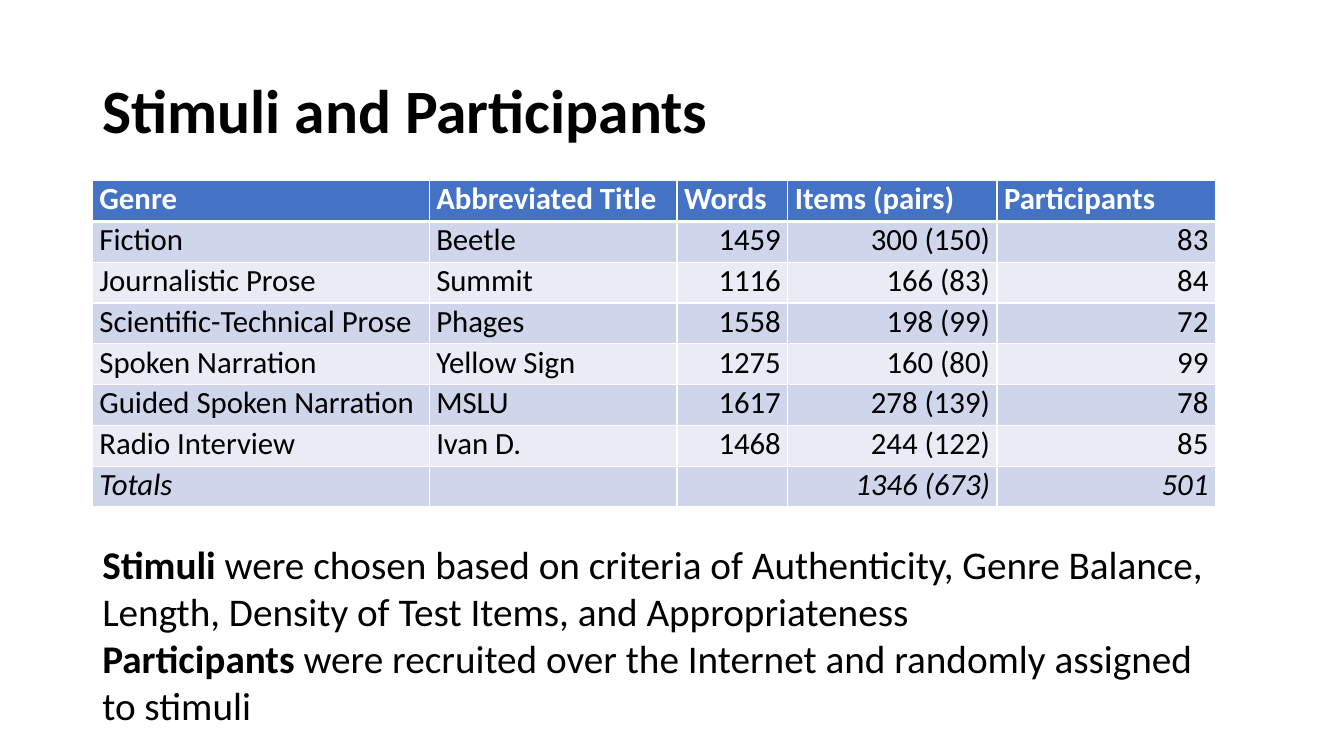
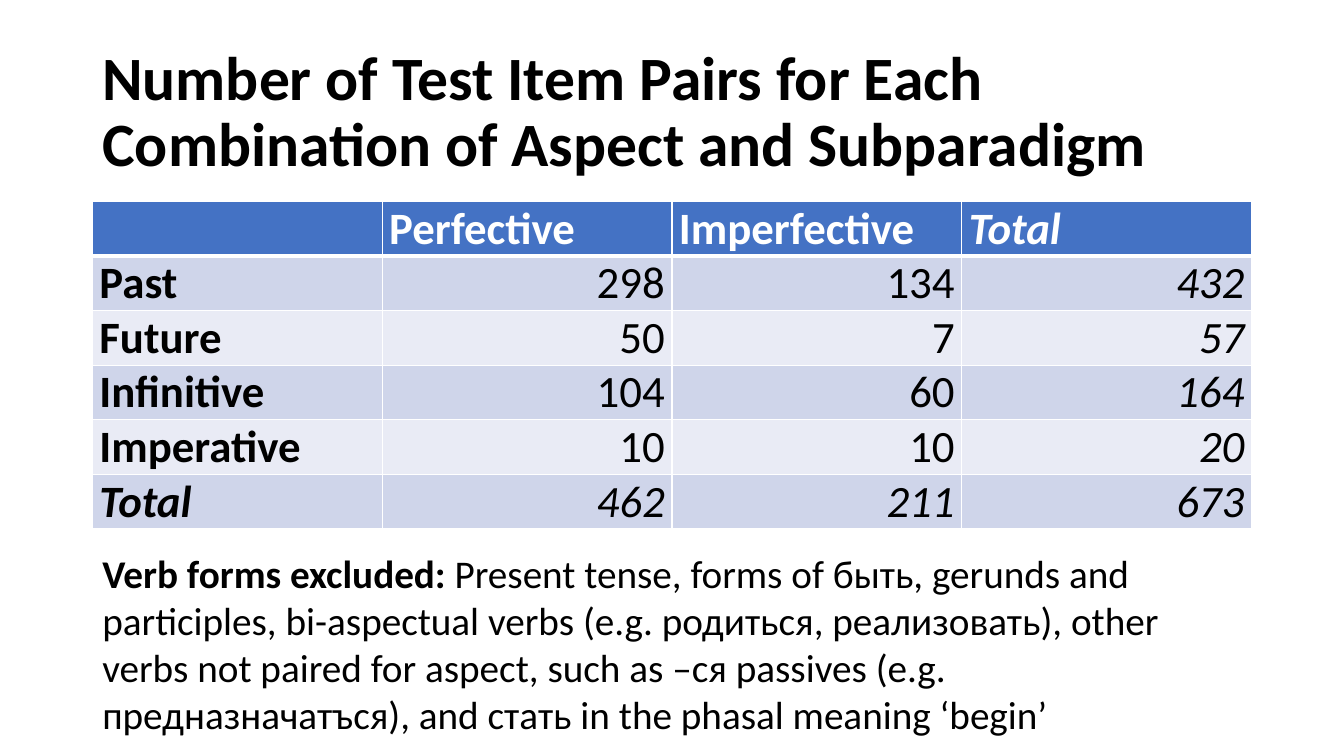
from dataclasses import dataclass

from lxml.etree import SubElement
from pptx import Presentation
from pptx.dml.color import RGBColor as Rgb
from pptx.enum.text import MSO_ANCHOR as Anchor, MSO_AUTO_SIZE as AutoSize, PP_ALIGN as Align
from pptx.oxml.ns import qn
from pptx.util import Inches, Pt


@dataclass(frozen=True)
class Theme:
    font: str = "Calibri"
    ink: str = "000000"
    paper: str = "FFFFFF"
    header: str = "4472C4"
    bands: tuple = ("CFD5EA", "E9EBF5")
    title_size: int = 44
    body_size: int = 28
    rule: int = 1
    header_rule: int = 3


class Deck:
    """Holds the theme and the current slide; lengths are grid units."""

    COLUMNS, ROWS = 160, 90
    LEFT, FULL = 11, 138

    def __init__(self, theme):
        self.theme = theme
        self.show = Presentation()
        self.show.slide_width, self.show.slide_height = Inches(13.33), Inches(7.5)
        self.slide = None

    def x(self, columns):
        return round(self.show.slide_width * columns / self.COLUMNS)

    def y(self, rows):
        return round(self.show.slide_height * rows / self.ROWS)

    def box(self, top, width, height):
        return self.x(self.LEFT), self.y(top), self.x(width), self.y(height)

    def run(self, paragraph, text, size, color, bold=False, italic=False):
        run = paragraph.add_run()
        run.text = text
        font = run.font
        font.name, font.size = self.theme.font, Pt(size)
        font.bold, font.italic = bold, italic
        font.color.rgb = Rgb.from_string(color)

    def frame(self, top, width, height):
        frame = self.slide.shapes.add_textbox(*self.box(top, width, height)).text_frame
        frame.word_wrap = True
        return frame

    # Slide with its shared title
    def page(self, title):
        self.slide = self.show.slides.add_slide(self.show.slide_layouts[6])
        frame = self.frame(4.8, self.FULL, 17.4)
        frame.vertical_anchor = Anchor.MIDDLE
        line = frame.paragraphs[0]
        line.line_spacing = 0.9
        self.run(line, title, self.theme.title_size, self.theme.ink, bold=True)

    # Paragraphs that open with a bold term
    def notes(self, top, width, entries):
        frame = self.frame(top, width, 23.9)
        frame.auto_size = AutoSize.SHAPE_TO_FIT_TEXT
        for index, (term, detail) in enumerate(entries):
            line = frame.add_paragraph() if index else frame.paragraphs[0]
            self.run(line, term, self.theme.body_size, self.theme.ink, bold=True)
            self.run(line, detail, self.theme.body_size, self.theme.ink)

    # Banded table: label columns at left, figures right-aligned, totals in italics
    def table(self, top, widths, row_height, size, rows, labels,
              bold_labels=False, total_column=None):
        theme = self.theme
        grid = self.slide.shapes.add_table(
            len(rows), len(widths),
            *self.box(top, sum(widths), row_height * len(rows))).table
        for column, width in zip(grid.columns, widths):
            column.width = self.x(width)
        for r, row in enumerate(rows):
            grid.rows[r].height = self.y(row_height)
            for c, text in enumerate(row):
                cell = grid.cell(r, c)
                self.dress(cell, r)
                if not text:
                    continue
                line = cell.text_frame.paragraphs[0]
                if r and c >= labels:
                    line.alignment = Align.RIGHT
                self.run(line, text, size, theme.ink if r else theme.paper,
                         bold=r == 0 or (bold_labels and c < labels),
                         italic=r == len(rows) - 1 or c == total_column)

    # Fill, margins and white rules of one cell
    def dress(self, cell, r):
        theme = self.theme
        cell.margin_left = cell.margin_right = Inches(0.07)
        cell.margin_top = cell.margin_bottom = 0
        properties = cell._tc.get_or_add_tcPr()
        for side in ("lnL", "lnR", "lnT", "lnB"):
            under_header = (r, side) in ((0, "lnB"), (1, "lnT"))
            width = theme.header_rule if under_header else theme.rule
            border = SubElement(properties, qn(f"a:{side}"), w=str(Pt(width)))
            paint = SubElement(border, qn("a:solidFill"))
            SubElement(paint, qn("a:srgbClr"), val=theme.paper)
        cell.fill.solid()
        color = theme.bands[(r - 1) % 2] if r else theme.header
        cell.fill.fore_color.rgb = Rgb.from_string(color)


deck = Deck(Theme())

# Stimuli and participants
genres = [
    ("Genre", "Abbreviated Title", "Words", "Items (pairs)", "Participants"),
    ("Fiction", "Beetle", "1459", "300 (150)", "83"),
    ("Journalistic Prose", "Summit", "1116", "166 (83)", "84"),
    ("Scientific-Technical Prose", "Phages", "1558", "198 (99)", "72"),
    ("Spoken Narration", "Yellow Sign", "1275", "160 (80)", "99"),
    ("Guided Spoken Narration", "MSLU", "1617", "278 (139)", "78"),
    ("Radio Interview", "Ivan D.", "1468", "244 (122)", "85"),
    ("Totals", "", "", "1346 (673)", "501"),
]
deck.page("Stimuli and Participants")
deck.table(21.5, (40.1, 29.5, 13.2, 24.9, 26), 4.86, 22, genres, labels=2)
deck.notes(63.7, 133.8, [
    ("Stimuli", " were chosen based on criteria of Authenticity, Genre Balance, "
                "Length, Density of Test Items, and Appropriateness"),
    ("Participants", " were recruited over the Internet and randomly assigned to stimuli"),
])

# Test item pairs by aspect and subparadigm
pairs = [
    ("", "Perfective", "Imperfective", "Total"),
    ("Past", "298", "134", "432"),
    ("Future", "50", "7", "57"),
    ("Infinitive", "104", "60", "164"),
    ("Imperative", "10", "10", "20"),
    ("Total", "462", "211", "673"),
]
deck.page("Number of Test Item Pairs for Each Combination of Aspect and Subparadigm")
deck.table(24, [deck.FULL / 4] * 4, 6.5, 32, pairs, labels=1,
           bold_labels=True, total_column=3)
deck.notes(64.8, deck.FULL, [
    ("Verb forms excluded: ",
     "Present tense, forms of быть, gerunds and participles, bi-aspectual verbs "
     "(e.g. родиться, реализовать), other verbs not paired for aspect, such as "
     "–ся passives (e.g. предназначатъся), and стать in the phasal meaning ‘begin’"),
])

deck.show.save("out.pptx")
